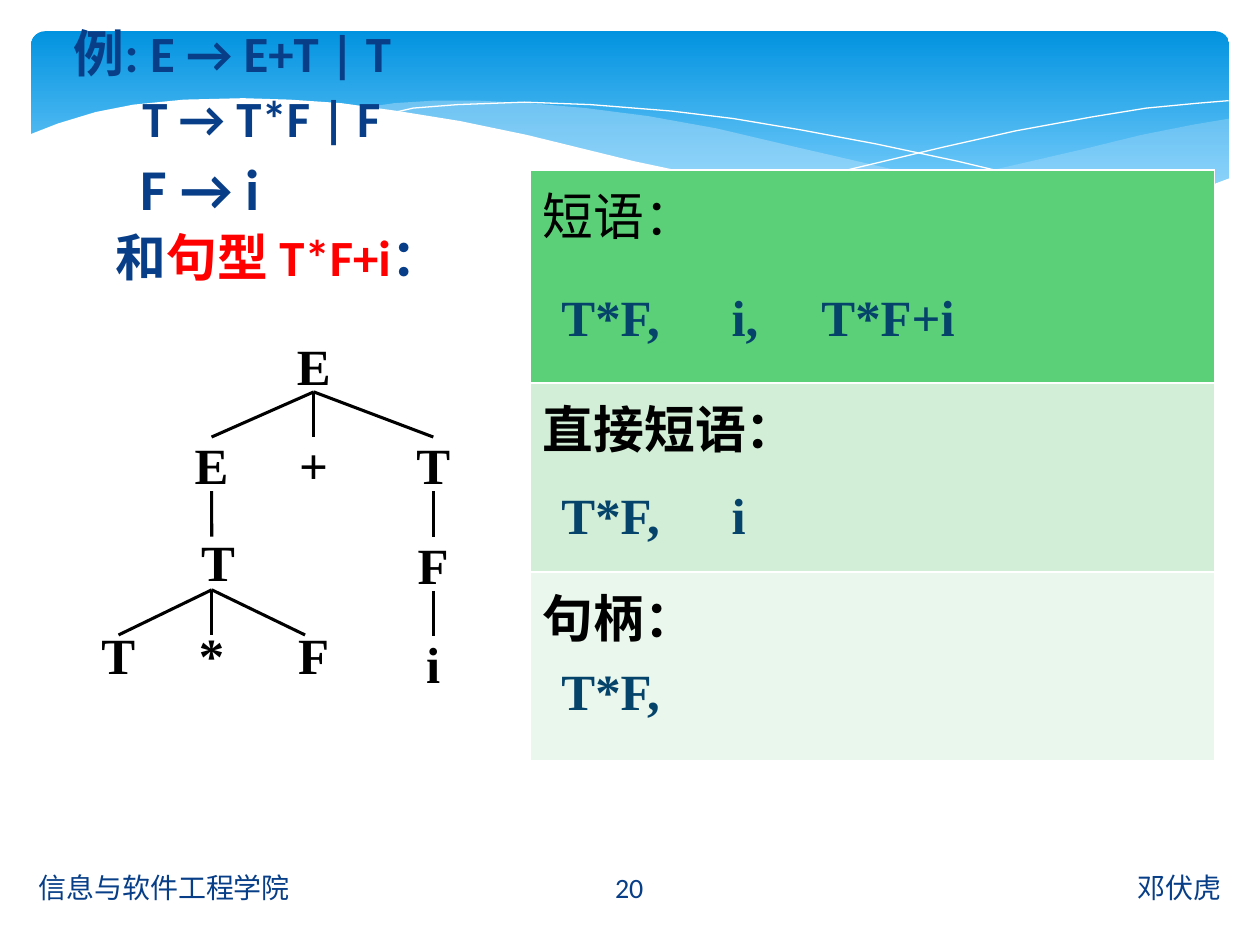
from lxml import etree
from pptx import Presentation
from pptx.dml.color import RGBColor
from pptx.enum.shapes import MSO_CONNECTOR, MSO_SHAPE
from pptx.enum.text import MSO_ANCHOR, PP_ALIGN
from pptx.oxml import parse_xml
from pptx.oxml.ns import nsdecls, qn
from pptx.util import Cm, Pt

LEFT, MID, RIGHT = PP_ALIGN.LEFT, PP_ALIGN.CENTER, PP_ALIGN.RIGHT
TOP, CENTER = MSO_ANCHOR.TOP, MSO_ANCHOR.MIDDLE
ROUND, STRAIGHT = MSO_SHAPE.ROUNDED_RECTANGLE, MSO_CONNECTOR.STRAIGHT
SANS, SERIF = "Calibri", "Times New Roman"
COLORS = {
    "navy": "073E87", "teal": "06436B", "red": "FF0000", "black": "000000",
    "white": "FFFFFF", "deep": "0293E0", "sky": "83D3FE", "mist": "C6E7FC",
    "green": "5BD078", "mint": "D2EED6", "pale": "EAF7EC",
}

RIGHT_WAVE = [
    (24.79, 2.39), (24.08, 2.51), (23.01, 2.72), (21.87, 3), (19.79, 3.48),
    (17.93, 3.86), (16.79, 4.06), (17.91, 4.19), (18.92, 4.29), (20.12, 4.37),
    (21.21, 4.37), (22.38, 4.24), (23.39, 4.06), (24.1, 3.86), (24.79, 3.58),
]
LEFT_WAVE = [
    (7.26, 2.18), (7.95, 2.08), (8.74, 2.03), (9.65, 2.03), (10.67, 2.08),
    (11.81, 2.18), (13.06, 2.34), (14.45, 2.59), (15.98, 2.95), (17.93, 3.4),
    (19.69, 3.78), (21.26, 4.04), (22.68, 4.24), (21.54, 4.37), (20.22, 4.39),
    (19, 4.32), (17.65, 4.19), (16.1, 3.96), (14.38, 3.63), (12.47, 3.2),
    (10.85, 2.79), (9.19, 2.46), (8.2, 2.29),
]
FALL_LINE = [
    (7.85, 2.29), (8.33, 2.18), (9.22, 2.11), (10.57, 2.06), (11.91, 2.11),
    (13.54, 2.24), (14.78, 2.39), (16.15, 2.62), (17.65, 2.9), (19.3, 3.25),
    (21.11, 3.68), (23.04, 4.22),
]
RISE_LINE = [
    (15.57, 3.84), (17.07, 3.43), (19, 2.97), (20.47, 2.64), (22, 2.36),
    (23.11, 2.18), (24.16, 2.08), (24.77, 2.03),
]
WHITE_WAVE = [
    (24.82, 3.58), (24.13, 3.84), (23.11, 4.11), (21.92, 4.29), (20.55, 4.34),
    (19.33, 4.32), (17.98, 4.19), (16.46, 3.96), (14.71, 3.66), (12.78, 3.25),
    (10.62, 2.72), (9.27, 2.44), (8.03, 2.24), (6.88, 2.08), (5.84, 2.01),
    (4.9, 1.98), (3.71, 2.01), (2.69, 2.11), (1.93, 2.26), (1.17, 2.49),
    (0.58, 2.72), (0.58, 5.69), (24.82, 5.69),
]
NODES = {
    "root": ("E", 5.64, 6.81), "sum": ("E", 3.58, 8.81),
    "plus": ("+", 5.64, 8.81), "term": ("T", 8.05, 8.81),
    "prod": ("T", 3.71, 10.77), "factor": ("F", 8.05, 10.82),
    "left": ("T", 1.7, 12.65), "star": ("*", 3.58, 12.65),
    "right": ("F", 5.64, 12.65), "leaf": ("i", 8.05, 12.83),
}
EDGES = [("root", "sum"), ("root", "plus"), ("root", "term"),
         ("term", "factor"), ("factor", "leaf")]
RULES = [
    (0, 29, [("例: E → E+T | T", "navy")]),
    (1.38, 29, [("T → T*F | F", "navy")]),
    (1.35, 33, [("F → i", "navy")]),
    (0.84, 29, [("和", "navy"), ("句型 T*F+i", "red"), ("：", "navy")]),
]
ROWS = [("短语：", 4.29, "green", False), ("直接短语：", 3.81, "mint", True),
        ("句柄：", 3.81, "pale", True)]
PHRASES = [("T*F,", 11.07, 5.64, 2.7), ("i,", 14.5, 5.64, 1.25),
           ("T*F+i", 16.31, 5.64, 3.45), ("T*F,", 11.07, 9.63, 2.7),
           ("i", 14.5, 9.63, 1), ("T*F,", 11.07, 13.18, 2.7)]


def color(name):
    return RGBColor.from_string(COLORS[name])


class Deck:
    def __init__(self):
        self.show = Presentation()
        self.show.slide_width, self.show.slide_height = Cm(25.4), Cm(19.05)
        self.slide = self.show.slides.add_slide(self.show.slide_layouts[6])
        self.shapes = self.slide.shapes

    def style(self, para, size, face, tone, bold):
        font = para.font
        font.size, font.name, font.bold = Pt(size), face, bold
        if tone:
            font.color.rgb = color(tone)

    def frame(self, x, y, w, h, anchor=TOP, wrap=True):
        box = self.shapes.add_textbox(Cm(x), Cm(y), Cm(w), Cm(h))
        box.text_frame.word_wrap = wrap
        box.text_frame.vertical_anchor = anchor
        return box

    def label(self, text, x, y, w, h, size=29, face=SERIF, tone="black",
              bold=True, align=LEFT, anchor=TOP, wrap=False):
        box = self.frame(x, y, w, h, anchor, wrap)
        para = box.text_frame.paragraphs[0]
        para.text, para.alignment = text, align
        self.style(para, size, face, tone, bold)
        return box

    def rules(self, x, y, w, h, lines):
        body = self.frame(x, y, w, h).text_frame
        for i, (indent, size, parts) in enumerate(lines):
            para = body.add_paragraph() if i else body.paragraphs[0]
            para.line_spacing = 0.9
            if i:
                para.space_before = Pt(size * 0.2)
            para._p.get_or_add_pPr().set("marL", str(Cm(indent)))
            tones = {tone for _, tone in parts}
            self.style(para, size, SANS,
                       parts[0][1] if len(tones) == 1 else None, True)
            for text, tone in parts:
                run = para.add_run()
                run.text = text
                if len(tones) > 1:
                    run.font.color.rgb = color(tone)

    def banner(self, x, y, w, h):
        shape = self.shapes.add_shape(ROUND, Cm(x), Cm(y), Cm(w), Cm(h))
        shape.adjustments[0] = 0.07
        shape.shadow.inherit = False
        shape.line.fill.background()
        shape.fill.gradient()
        shape.fill.gradient_angle = 270
        stops = zip(shape.fill.gradient_stops, ("deep", "sky"), (0, 0.9))
        for stop, tone, place in stops:
            stop.color.rgb, stop.position = color(tone), place

    def curve(self, points, tone, alpha=100, closed=True):
        spots = [(Cm(x), Cm(y)) for x, y in points]
        path = self.shapes.build_freeform(*spots[0], scale=1.0)
        path.add_line_segments(spots[1:], close=closed)
        shape = path.convert_to_shape()
        shape.shadow.inherit = False
        if not closed:
            shape.fill.background()
            shape.line.color.rgb, shape.line.width = color(tone), Pt(0)
            return
        shape.line.fill.background()
        shape.fill.solid()
        shape.fill.fore_color.rgb = color(tone)
        if alpha < 100:
            tint = next(shape._element.spPr.iter(qn("a:srgbClr")))
            etree.SubElement(tint, qn("a:alpha"), val=str(alpha * 1000))

    def line(self, x1=0, y1=0, x2=0, y2=0, start=None, end=None):
        link = self.shapes.add_connector(STRAIGHT, Cm(x1), Cm(y1), Cm(x2), Cm(y2))
        link.line.color.rgb, link.line.width = color("black"), Pt(1.75)
        etree.SubElement(link._element.spPr, qn("a:effectLst"))
        if start:
            link.begin_connect(start, 2)
        if end:
            link.end_connect(end, 0)

    def table(self, x, y, w, rows):
        high = sum(row[1] for row in rows)
        grid = self.shapes.add_table(len(rows), 1, Cm(x), Cm(y), Cm(w), Cm(high)).table
        grid.first_row = grid.horz_banding = False
        for i, (text, tall, tone, bold) in enumerate(rows):
            grid.rows[i].height = Cm(tall)
            cell = grid.cell(i, 0)
            cell.text = text
            self.style(cell.text_frame.paragraphs[0], 29, SERIF, "black", bold)
            cell.fill.solid()
            cell.fill.fore_color.rgb = color(tone)
            for j, side in enumerate("LRTB"):
                cell._tc.tcPr.insert(j, parse_xml(
                    f'<a:ln{side} {nsdecls("a")} w="{Pt(1)}"><a:solidFill>'
                    f'<a:srgbClr val="{COLORS["white"]}"/></a:solidFill></a:ln{side}>'))


def main():
    deck = Deck()
    deck.banner(0.63, 0.63, 24.15, 3.96)
    deck.curve(RIGHT_WAVE, "mist", 29)
    deck.curve(LEFT_WAVE, "mist", 40)
    deck.curve(FALL_LINE, "white", closed=False)
    deck.curve(RISE_LINE, "white", closed=False)
    deck.curve(WHITE_WAVE, "white")

    for text, x, w, align in [("邓伏虎", 14.35, 10.52, RIGHT),
                              ("信息与软件工程学院", 0.53, 10.52, LEFT),
                              ("20", 11.07, 3.23, MID)]:
        deck.label(text, x, 17.37, w, 1.02, 16, SANS, "navy", False,
                   align, CENTER, True)
    deck.rules(1.24, 0.46, 11, 5.89, RULES)

    nodes = {key: deck.label(text, x, y, 1.37, 1.09, align=MID, anchor=CENTER)
             for key, (text, x, y) in NODES.items()}
    for start, end in EDGES:
        deck.line(start=nodes[start], end=nodes[end])
    deck.line(4.27, 9.9, 4.27, 10.82, start=nodes["sum"])
    for x in (2.39, 4.27, 6.15):
        deck.line(4.27, 11.89, x, 12.8)

    deck.table(10.69, 3.43, 13.79, ROWS)
    for text, x, y, w in PHRASES:
        deck.label(text, x, y, w, 1.47, tone="teal")
    deck.show.save("out.pptx")


if __name__ == "__main__":
    main()
